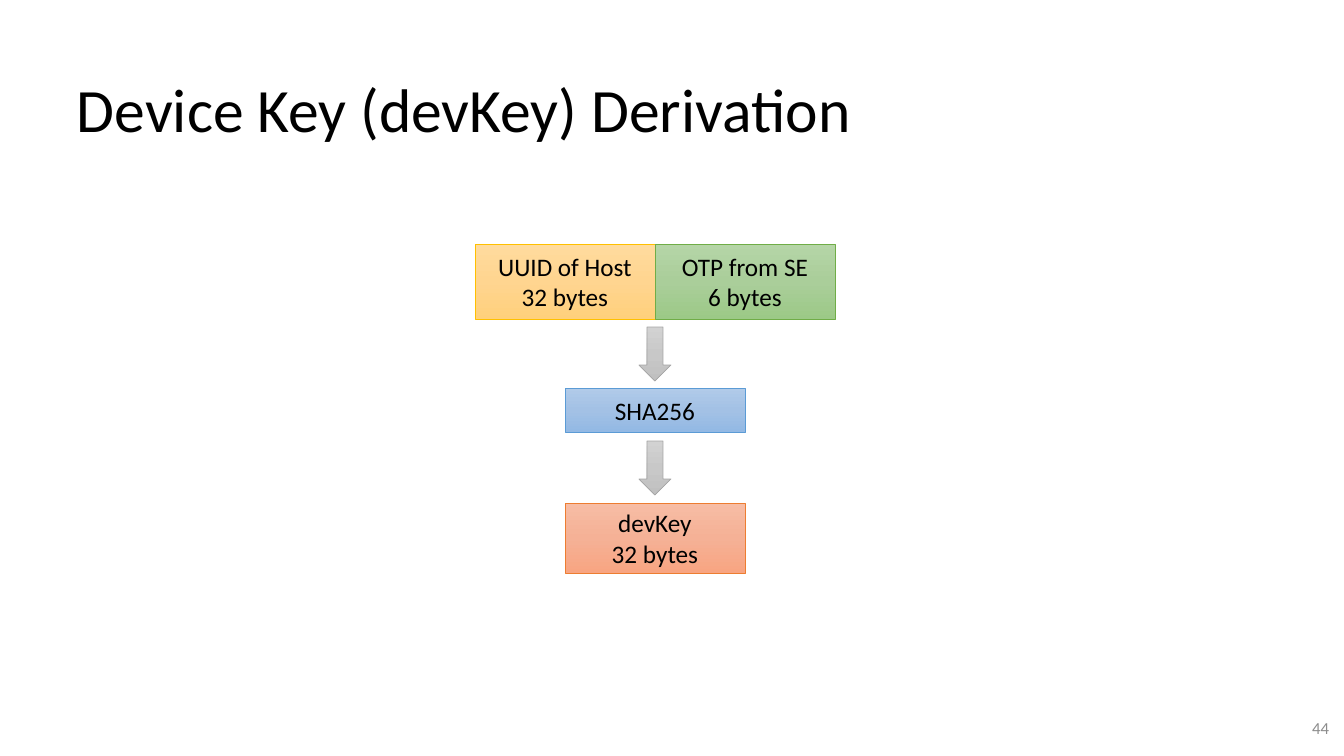
from copy import deepcopy

from pptx import Presentation
from pptx.dml.color import RGBColor
from pptx.enum.shapes import MSO_SHAPE as SHAPE
from pptx.enum.text import MSO_ANCHOR as ANCHOR, PP_ALIGN as ALIGN
from pptx.oxml.ns import qn
from pptx.util import Emu, Pt

TITLE = "Device Key (devKey) Derivation"
PAGE_NUMBER = "44"
AXIS = 655
BOX_WIDTH = 180
ARROW_SIZE = (32, 54)
ARROW_TOPS = [327, 441]
BOXES = [
    (["UUID of Host", "32 bytes"], "gold", AXIS - BOX_WIDTH, 244, 75),
    (["OTP from SE", "6 bytes"], "green", AXIS, 244, 75),
    (["SHA256"], "blue", AXIS - BOX_WIDTH // 2, 388, 44),
    (["devKey", "32 bytes"], "orange", AXIS - BOX_WIDTH // 2, 503, 70),
]
COLORS = {"text": "000000", "number": "8C8C8C"}
GRADIENTS = {
    "gold": ("FFDB9E", "FFD590", "FFD07C"),
    "green": ("B5D5A7", "AACE9A", "9CC987"),
    "blue": ("B1CBE9", "A3C1E5", "93B9E4"),
    "orange": ("F7BDA5", "F5B196", "F8A582"),
    "gray": ("D2D2D2", "C8C8C8", "C0C0C0"),
}
OUTLINES = {"gold": "FFC000", "green": "70AD47", "blue": "5B9BD5",
            "orange": "ED7D31", "gray": "A5A5A5"}
TITLE_FORMAT = {"size": Pt(44), "name": "Calibri"}
BOX_FORMAT = {"size": Pt(18), "name": "Calibri"}
NUMBER_FORMAT = {"size": Pt(12), "name": "Calibri"}


def px(length):
    return Emu(round(length * 914400 / 100.8))


def write(frame, lines, fmt, color, align, anchor):
    frame.word_wrap = True
    frame.vertical_anchor = anchor
    for index, line in enumerate(lines):
        paragraph = frame.add_paragraph() if index else frame.paragraphs[0]
        paragraph.alignment = align
        run = paragraph.add_run()
        run.text = line
        for key, value in fmt.items():
            setattr(run.font, key, value)
        run.font.color.rgb = RGBColor.from_string(COLORS[color])


def add_text(area, text, fmt, color, align, anchor):
    frame = slide.shapes.add_textbox(*map(px, area)).text_frame
    for side in ("left", "top", "right", "bottom"):
        setattr(frame, f"margin_{side}", px(10))
    write(frame, [text], fmt, color, align, anchor)
    return frame


def add_block(kind, area, tone):
    block = slide.shapes.add_shape(kind, *map(px, area))
    block.shadow.inherit = False
    block.fill.gradient()
    block.fill.gradient_angle = 270
    stops = block._element.spPr.find(qn("a:gradFill")).find(qn("a:gsLst"))
    stops.insert(1, deepcopy(stops[0]))
    for index, stop in enumerate(block.fill.gradient_stops):
        stop.position = index / 2
        stop.color.rgb = RGBColor.from_string(GRADIENTS[tone][index])
    block.line.color.rgb = RGBColor.from_string(OUTLINES[tone])
    block.line.width = Pt(0.5)
    return block


deck = Presentation()
deck.slide_width, deck.slide_height = px(1344), px(756)
slide = deck.slides.add_slide(deck.slide_layouts[6])

title = add_text((67, 30, 1210, 126), TITLE, TITLE_FORMAT, "text",
                 ALIGN.LEFT, ANCHOR.BOTTOM)
title.paragraphs[0].line_spacing = 0.9

for lines, tone, left, top, height in BOXES:
    box = add_block(SHAPE.RECTANGLE, (left, top, BOX_WIDTH, height), tone)
    write(box.text_frame, lines, BOX_FORMAT, "text", ALIGN.CENTER, ANCHOR.MIDDLE)

for top in ARROW_TOPS:
    add_block(SHAPE.DOWN_ARROW, (AXIS - ARROW_SIZE[0] // 2, top, *ARROW_SIZE), "gray")

add_text((1258, 699, 81, 57), PAGE_NUMBER, NUMBER_FORMAT, "number",
         ALIGN.RIGHT, ANCHOR.MIDDLE)

deck.save("out.pptx")
